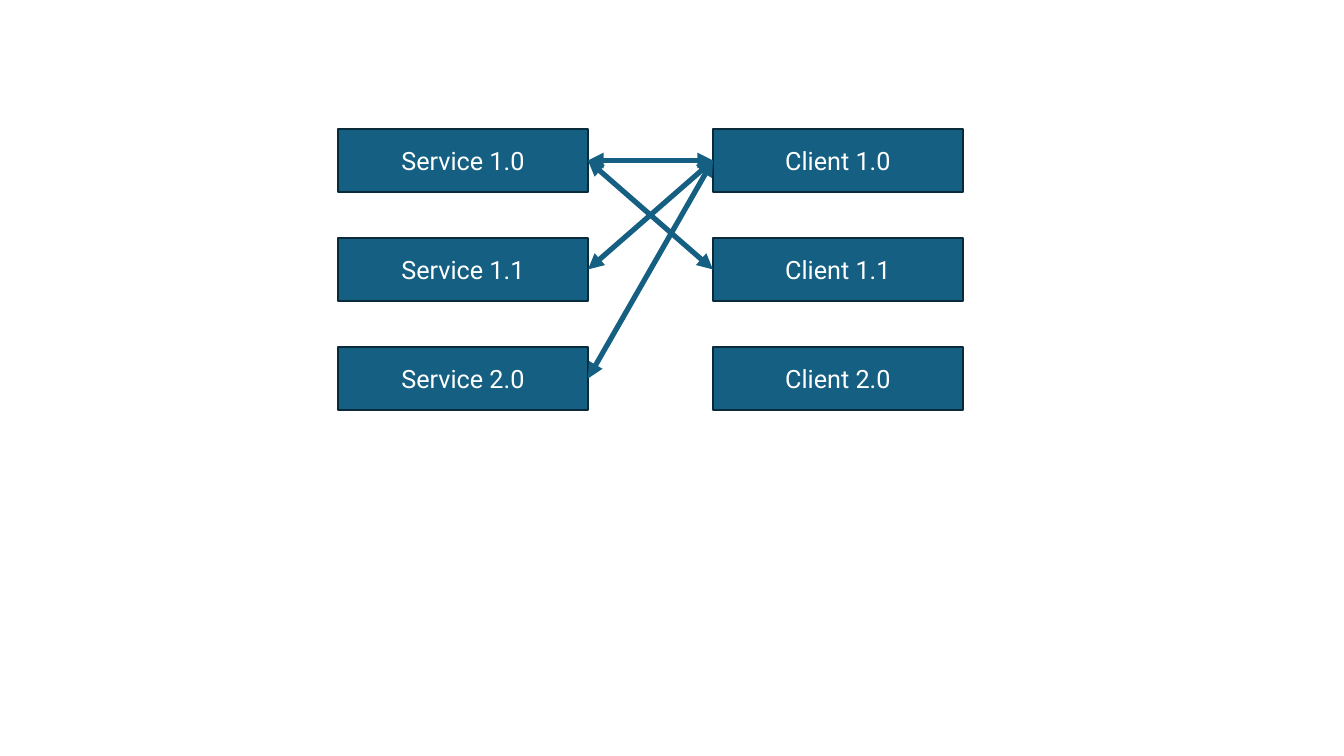
from lxml import etree
from pptx import Presentation
from pptx import util as u
from pptx.dml.color import RGBColor
from pptx.enum import shapes, text
from pptx.oxml.ns import qn

PX = 914400 / 100.8
COLORS = {"box": "156082", "border": "092A39", "arrow": "156082", "label": "FFFFFF"}
VERSIONS = ["1.0", "1.1", "2.0"]
COMPATIBLE = [("1.0", "1.0"), ("1.1", "1.0"), ("2.0", "1.0"), ("1.0", "1.1")]
BOX_HEIGHT = 63
RIGHT_SIDE, LEFT_SIDE = 3, 1


def px(length):
    return u.Emu(round(length * PX))


def color(name):
    return RGBColor.from_string(COLORS[name])


def add_box(slide, label, left, top, width, height):
    shape = slide.shapes.add_shape(
        shapes.MSO_SHAPE.RECTANGLE, px(left), px(top), px(width), px(height))
    shape.shadow.inherit = False
    shape.fill.solid()
    shape.fill.fore_color.rgb = color("box")
    shape.line.color.rgb = color("border")
    shape.line.width = u.Pt(1.5)
    frame = shape.text_frame
    frame.word_wrap = True
    frame.vertical_anchor = text.MSO_ANCHOR.MIDDLE
    paragraph = frame.paragraphs[0]
    paragraph.alignment = text.PP_ALIGN.CENTER
    run = paragraph.add_run()
    run.text = label
    run.font.name = "Roboto"
    run.font.size = u.Pt(18)
    run.font.color.rgb = color("label")
    return shape


def add_column(slide, role, left, top, width, height):
    """Stack one box per version, evenly spread over the given height."""
    pitch = (height - BOX_HEIGHT) / (len(VERSIONS) - 1)
    return {
        version: add_box(slide, f"{role} {version}", left, top + row * pitch, width, BOX_HEIGHT)
        for row, version in enumerate(VERSIONS)
    }


def add_double_arrow(slide, service, client):
    connector = slide.shapes.add_connector(shapes.MSO_CONNECTOR.STRAIGHT, 0, 0, 0, 0)
    connector.begin_connect(service, RIGHT_SIDE)
    connector.end_connect(client, LEFT_SIDE)
    connector.line.color.rgb = color("arrow")
    connector.line.width = u.Pt(3.75)
    line = connector.line._get_or_add_ln()
    for end in ("a:headEnd", "a:tailEnd"):
        etree.SubElement(line, qn(end), type="triangle")
    etree.SubElement(connector._element.spPr, qn("a:effectLst"))


def add_compatibility_diagram(slide, left, top, width, height):
    # Service and client columns
    box_width = width * 2 // 5
    services = add_column(slide, "Service", left, top, box_width, height)
    clients = add_column(slide, "Client", left + width - box_width, top, box_width, height)
    # Arrows between compatible versions
    for service, client in COMPATIBLE:
        add_double_arrow(slide, services[service], clients[client])


def main():
    presentation = Presentation()
    presentation.slide_width, presentation.slide_height = px(1344), px(756)
    slide = presentation.slides.add_slide(presentation.slide_layouts[6])
    add_compatibility_diagram(slide, 338, 129, 625, 281)
    presentation.save("out.pptx")


if __name__ == "__main__":
    main()
